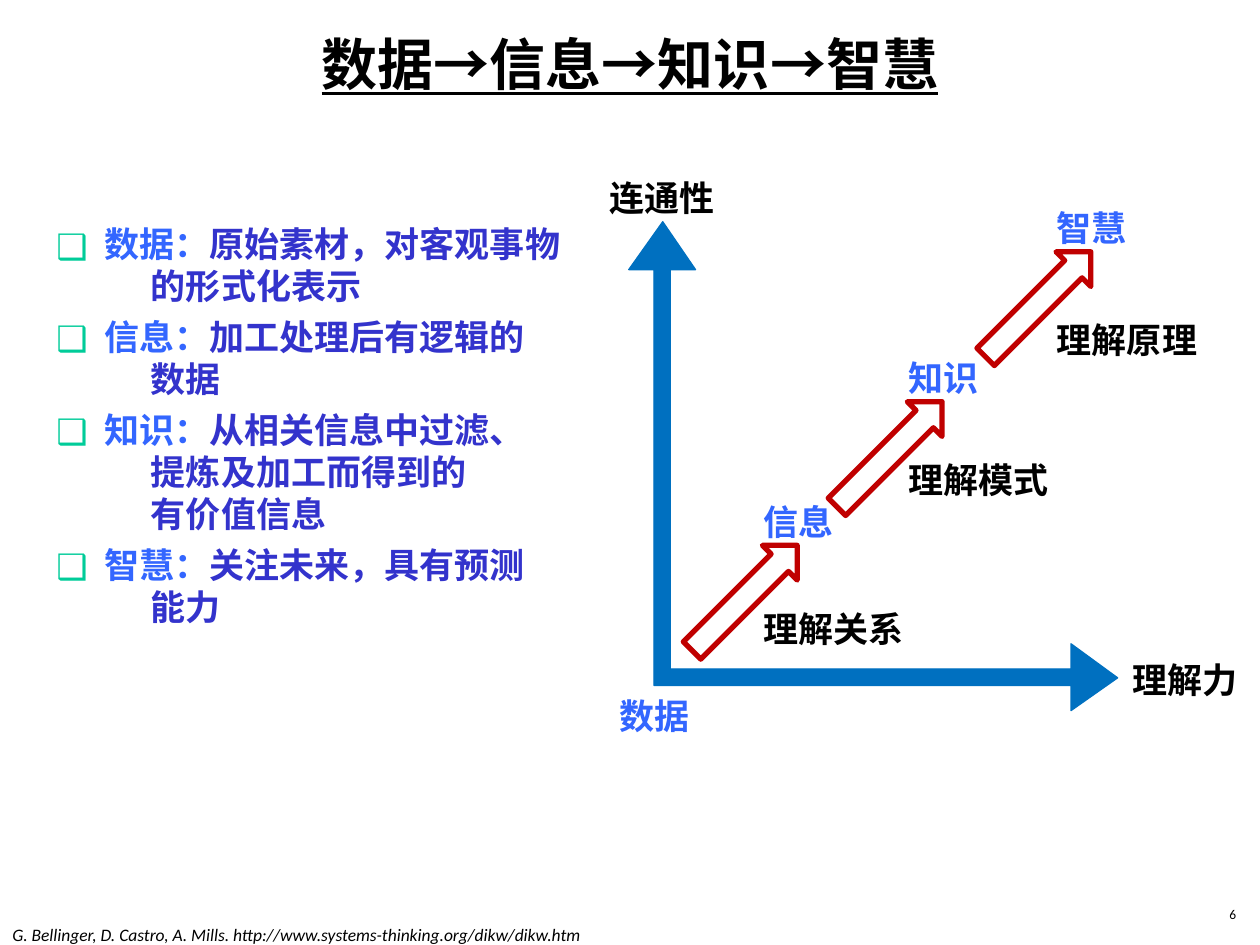
from pptx import Presentation
from pptx.dml.color import RGBColor
from pptx.enum.shapes import MSO_SHAPE
from pptx.enum.text import MSO_ANCHOR, MSO_AUTO_SIZE, PP_ALIGN
from pptx.oxml.ns import qn
from pptx.util import Inches, Pt
from lxml.etree import SubElement

COLORS = {
    "ink": "000000", "term": "3366FF", "text": "3333CC", "mark": "00CC99",
    "axis": "0070C0", "edge": "C00000", "white": "FFFFFF",
}
HAN = "Noto Sans CJK SC"
ROMAN = "Times New Roman"
CELL = Inches(0.1)
COLS, ROWS = 100, 75

TITLE = ["数据", "→", "信息", "→", "知识", "→", "智慧"]
TERMS = [
    ("数据：", ["原始素材，对客观事物", "的形式化表示"]),
    ("信息：", ["加工处理后有逻辑的", "数据"]),
    ("知识：", ["从相关信息中过滤、", "提炼及加工而得到的", "有价值信息"]),
    ("智慧：", ["关注未来，具有预测", "能力"]),
]
STEPS = [
    (53.2, 45.5, "信息", "理解关系", 2.2),
    (64.7, 34.1, "知识", "理解模式", 1.8),
    (76.5, 22.2, "智慧", "理解原理", 2.6),
]
AXES = [
    (88.7, 53.8), (85, 51.1), (85, 53.1), (53.2, 53.1), (53.2, 21.4),
    (55.2, 21.4), (52.6, 17.6), (49.9, 21.4), (51.9, 21.4), (51.9, 54.4),
    (85, 54.4), (85, 56.4),
]


def grid(*cells):
    return [round(cell * CELL) for cell in cells]


def tint(name):
    return RGBColor.from_string(COLORS[name])


def style(run, size, face, color, bold=False):
    font = run.font
    font.size, font.name, font.bold = Pt(size), face, bold
    font.color.rgb = tint(color)
    SubElement(run._r.get_or_add_rPr(), qn("a:ea"), typeface=HAN)


def add_box(shapes, place, pad=0.05):
    frame = shapes.add_textbox(*grid(*place)).text_frame
    frame.word_wrap = True
    frame.margin_top = frame.margin_bottom = Inches(pad)
    return frame


def add_line(shapes, place, text, size, face, color, align, pad=0.05, bold=False):
    frame = add_box(shapes, place, pad)
    frame.text = text
    para = frame.paragraphs[0]
    para.alignment = align
    style(para.runs[0], size, face, color, bold)
    return frame


def add_label(shapes, col, row, text, color):
    width = 2.2 + 2.8 * len(text)
    frame = add_line(shapes, (col - 0.15, row, width, 4.4), text, 20, ROMAN,
                     color, PP_ALIGN.CENTER, bold=True)
    frame.word_wrap = False
    frame.auto_size = MSO_AUTO_SIZE.SHAPE_TO_FIT_TEXT
    frame.paragraphs[0].line_spacing = Pt(24)


def add_title(shapes):
    frame = add_box(shapes, (7.5, 2.5, COLS - 15, 5), 0)
    frame.vertical_anchor = MSO_ANCHOR.MIDDLE
    para = frame.paragraphs[0]
    para.alignment = PP_ALIGN.CENTER
    for part in TITLE:
        run = para.add_run()
        run.text = part
        style(run, 32, "Arial" if part == "→" else HAN, "ink", True)
        run.font.underline = True


def set_mark(para):
    props = para._p.get_or_add_pPr()
    props.set("marL", str(Inches(0.38)))
    props.set("indent", str(-Inches(0.38)))
    color = SubElement(props, qn("a:buClr"))
    SubElement(color, qn("a:srgbClr"), val=COLORS["mark"])
    SubElement(props, qn("a:buFont"), typeface=HAN)
    SubElement(props, qn("a:buChar"), char="❑")
    tabs = SubElement(props, qn("a:tabLst"))
    for stop in (0.38, 0.75):
        SubElement(tabs, qn("a:tab"), pos=str(Inches(stop)), algn="l")


def add_terms(shapes):
    frame = add_box(shapes, (3.5, 17.2, 45, 35))
    for index, (term, lines) in enumerate(TERMS):
        para = frame.add_paragraph() if index else frame.paragraphs[0]
        para.text = term + "\v\t".join(lines)
        set_mark(para)
        para.line_spacing = Pt(24)
        if index:
            para.space_before = Pt(5)
        head = para.runs[0]
        head.text = term
        style(head, 20, HAN, "term", True)
        rest = para.add_run()
        rest.text = lines[0]
        head._r.addnext(rest._r)
        for run in para.runs[1:]:
            style(run, 20, HAN, "text", True)


def paint(shape, fill, edge, width):
    shape.shadow.inherit = False
    shape.fill.solid()
    shape.fill.fore_color.rgb = tint(fill)
    shape.line.color.rgb = tint(edge)
    shape.line.width = Pt(width)


def add_axes(shapes):
    first, *others = [grid(*point) for point in AXES]
    path = shapes.build_freeform(*first)
    path.add_line_segments(others, close=True)
    paint(path.convert_to_shape(), "axis", "axis", 0.75)


def add_step(shapes, col, row, goal, note, drop):
    group = shapes.add_group_shape().shapes
    arrow = group.add_shape(MSO_SHAPE.RIGHT_ARROW, *grid(col, row, 11.8, 3.9))
    arrow.rotation = 315
    paint(arrow, "white", "edge", 3)
    add_label(group, col + 6.4, row - 6.3, goal, "term")
    add_label(group, col + 6.4, row + drop, note, "ink")


def main():
    deck = Presentation()
    deck.slide_width, deck.slide_height = grid(COLS, ROWS)
    shapes = deck.slides.add_slide(deck.slide_layouts[6]).shapes
    add_title(shapes)
    add_terms(shapes)
    cite = add_line(
        shapes, (0, 73.3, 55, 1.7),
        "G. Bellinger, D. Castro, A. Mills. http://www.systems-thinking.org/dikw/dikw.htm",
        10, "Calibri", "ink", PP_ALIGN.LEFT, pad=0)
    cite.paragraphs[0].runs[0].font.italic = True
    page = add_line(shapes, (78.3, 71.7, 20.8, 2.5), "6", 7.7, "Calibri", "ink", PP_ALIGN.RIGHT)
    page.paragraphs[0].line_spacing = 0.8
    add_axes(shapes)
    add_label(shapes, 48.2, 54.6, "数据", "term")
    add_label(shapes, 47.4, 13.5, "连通性", "ink")
    add_label(shapes, 88.9, 51.8, "理解力", "ink")
    for step in STEPS:
        add_step(shapes, *step)
    deck.save("out.pptx")


if __name__ == "__main__":
    main()
